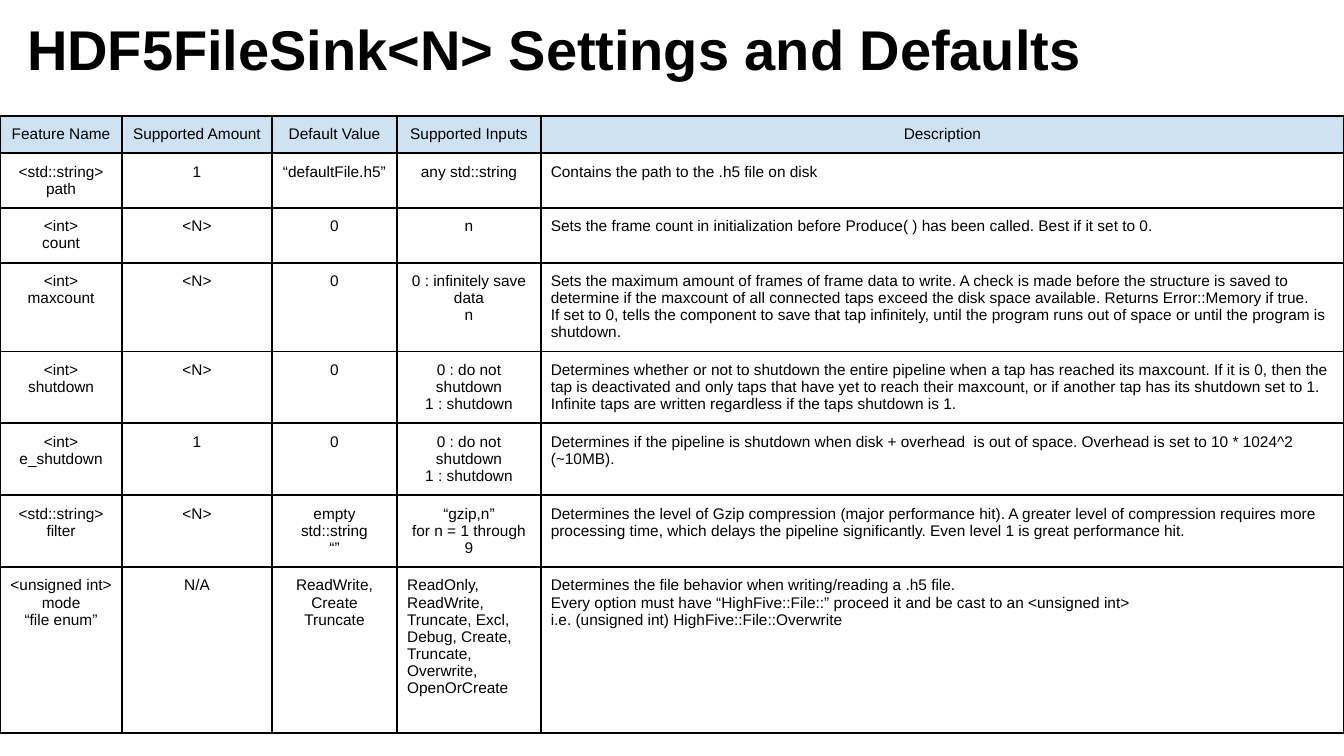
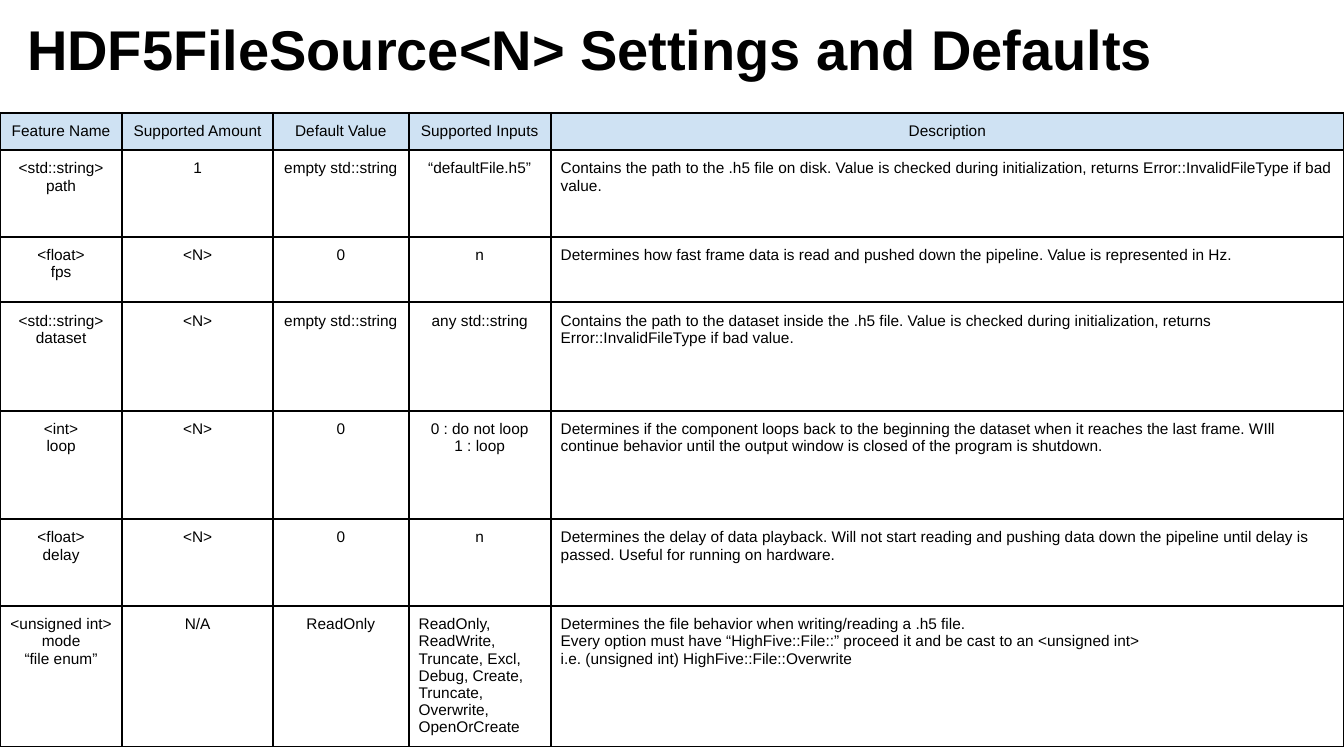
from dataclasses import dataclass

from lxml.etree import SubElement
from pptx import Presentation
from pptx.dml.color import RGBColor
from pptx.enum.text import MSO_ANCHOR as Anchor, MSO_AUTO_SIZE as AutoSize, PP_ALIGN as Align
from pptx.oxml.ns import qn
from pptx.slide import Slide
from pptx.table import _Cell as Cell
from pptx.util import Cm, Pt

BLACK = RGBColor(0x00, 0x00, 0x00)
HEADER_BLUE = RGBColor(0xCF, 0xE2, 0xF3)
FONT = "Arial"
TITLE_SIZE = Pt(40)
CELL_SIZE = Pt(11)
CELL_MARGIN = Cm(0.25)
BORDER_WIDTH = Pt(1.5)
SLIDE_WIDTH = Cm(33.87)
SLIDE_HEIGHT = Cm(19.05)

HEADERS = ("Feature Name", "Supported Amount", "Default Value", "Supported Inputs", "Description")
DESCRIPTION_COLUMN = len(HEADERS) - 1
FILE_MODES = (
    "ReadOnly, ReadWrite, Truncate, Excl, Debug, Create, Truncate, Overwrite, OpenOrCreate"
)
MODE_DESCRIPTION = (
    "Determines the file behavior when writing/reading a .h5 file.\n"
    "Every option must have “HighFive::File::” proceed it and be cast to an <unsigned int>\n"
    "i.e. (unsigned int) HighFive::File::Overwrite"
)


@dataclass(frozen=True)
class Setting:
    name: str
    amount: str
    default: str
    inputs: str
    description: str
    height: float

    def texts(self) -> tuple[str, ...]:
        return self.name, self.amount, self.default, self.inputs, self.description


@dataclass(frozen=True)
class SettingsPage:
    """Lengths are in centimetres; the description column takes the remaining width."""
    title: str
    title_width: float
    table_top: float
    column_widths: tuple[float, ...]
    settings: tuple[Setting, ...]


def file_mode(default: str, height: float) -> Setting:
    return Setting("<unsigned int>\nmode\n“file enum”", "N/A", default,
                   FILE_MODES, MODE_DESCRIPTION, height)


HEADER = Setting(*HEADERS, height=0.94)

SINK = SettingsPage(
    "HDF5FileSink<N> Settings and Defaults", 28.58, 2.92, (3.08, 3.77, 3.16, 3.62),
    (
        Setting("<std::string>\npath", "1", "“defaultFile.h5”", "any std::string",
                "Contains the path to the .h5 file on disk", 1.38),
        Setting("<int>\ncount", "<N>", "0", "n",
                "Sets the frame count in initialization before Produce( ) has been called. "
                "Best if it set to 0.", 1.38),
        Setting("<int>\nmaxcount", "<N>", "0", "0 : infinitely save data\nn",
                "Sets the maximum amount of frames of frame data to write. A check is made "
                "before the structure is saved to determine if the maxcount of all connected "
                "taps exceed the disk space available. Returns Error::Memory if true.\n"
                "If set to 0, tells the component to save that tap infinitely, until the "
                "program runs out of space or until the program is shutdown.", 2.24),
        Setting("<int>\nshutdown", "<N>", "0", "0 : do not shutdown\n1 : shutdown",
                "Determines whether or not to shutdown the entire pipeline when a tap has "
                "reached its maxcount. If it is 0, then the tap is deactivated and only taps "
                "that have yet to reach their maxcount, or if another tap has its shutdown "
                "set to 1. Infinite taps are written regardless if the taps shutdown is 1.",
                1.81),
        Setting("<int>\ne_shutdown", "1", "0", "0 : do not shutdown\n1 : shutdown",
                "Determines if the pipeline is shutdown when disk + overhead  is out of "
                "space. Overhead is set to 10 * 1024^2 (~10MB).", 1.81),
        Setting("<std::string>\nfilter", "<N>", "empty std::string\n“”",
                "“gzip,n”\nfor n = 1 through 9",
                "Determines the level of Gzip compression (major performance hit). A greater "
                "level of compression requires more processing time, which delays the "
                "pipeline significantly. Even level 1 is great performance hit.", 1.81),
        file_mode("ReadWrite, Create Truncate", 4.19),
    ),
)

SOURCE = SettingsPage(
    "HDF5FileSource<N> Settings and Defaults", 29.24, 2.84, (3.08, 3.8, 3.42, 3.58),
    (
        Setting("<std::string>\npath", "1", "empty std::string", "“defaultFile.h5”",
                "Contains the path to the .h5 file on disk. Value is checked during "
                "initialization, returns Error::InvalidFileType if bad value.", 2.19),
        Setting("<float>\nfps", "<N>", "0", "n",
                "Determines how fast frame data is read and pushed down the pipeline. Value "
                "is represented in Hz.", 1.65),
        Setting("<std::string>\ndataset", "<N>", "empty std::string", "any std::string",
                "Contains the path to the dataset inside the .h5 file. Value is checked "
                "during initialization, returns Error::InvalidFileType if bad value.", 2.73),
        Setting("<int>\nloop", "<N>", "0", "0 : do not loop\n1 : loop",
                "Determines if the component loops back to the beginning the dataset when it "
                "reaches the last frame. WIll continue behavior until the output window is "
                "closed of the program is shutdown.", 2.73),
        Setting("<float>\ndelay", "<N>", "0", "n",
                "Determines the delay of data playback. Will not start reading and pushing "
                "data down the pipeline until delay is passed. Useful for running on "
                "hardware.", 2.19),
        file_mode("ReadOnly", 3.54),
    ),
)


def add_title(slide: Slide, text: str, width: float) -> None:
    title = slide.shapes.title
    title.left, title.top, title.width, title.height = Cm(0.43), Cm(0.43), Cm(width), Cm(1.88)
    frame = title.text_frame
    frame.text = text
    frame.word_wrap = True
    frame.auto_size = AutoSize.NONE
    frame.vertical_anchor = Anchor.MIDDLE
    para = frame.paragraphs[0]
    para.alignment = Align.LEFT
    para.line_spacing = 0.8
    para.font.name, para.font.size, para.font.bold = FONT, TITLE_SIZE, True
    para.font.color.rgb = BLACK


def add_borders(cell: Cell) -> None:
    properties = cell._tc.get_or_add_tcPr()
    for side in ("a:lnL", "a:lnR", "a:lnT", "a:lnB"):
        line = SubElement(properties, qn(side), w=str(BORDER_WIDTH))
        fill = SubElement(line, qn("a:solidFill"))
        SubElement(fill, qn("a:srgbClr"), val=str(BLACK))


def fill_cell(cell: Cell, text: str, alignment: Align, is_header: bool) -> None:
    # Borders must precede the fill in the cell properties.
    add_borders(cell)
    if is_header:
        cell.fill.solid()
        cell.fill.fore_color.rgb = HEADER_BLUE
    else:
        cell.fill.background()
    cell.margin_left = cell.margin_right = CELL_MARGIN
    cell.margin_top = cell.margin_bottom = CELL_MARGIN
    cell.vertical_anchor = Anchor.TOP
    cell.text_frame.text = text
    for para in cell.text_frame.paragraphs:
        para.alignment = alignment
        para.font.name, para.font.size = FONT, CELL_SIZE
        para.font.color.rgb = BLACK


def add_settings_table(slide: Slide, page: SettingsPage) -> None:
    rows = (HEADER, *page.settings)
    height = Cm(sum(row.height for row in rows))
    table = slide.shapes.add_table(
        len(rows), len(HEADERS), Cm(0), Cm(page.table_top), SLIDE_WIDTH, height).table
    table.first_row = table.horz_banding = False

    widths = [Cm(width) for width in page.column_widths]
    widths.append(SLIDE_WIDTH - sum(widths))
    for column, width in zip(table.columns, widths):
        column.width = width

    for row_index, row in enumerate(rows):
        table.rows[row_index].height = Cm(row.height)
        is_header = row is HEADER
        for column_index, text in enumerate(row.texts()):
            is_prose = column_index == DESCRIPTION_COLUMN or text == FILE_MODES
            alignment = Align.LEFT if is_prose and not is_header else Align.CENTER
            fill_cell(table.cell(row_index, column_index), text, alignment, is_header)


def main() -> None:
    deck = Presentation()
    deck.slide_width, deck.slide_height = SLIDE_WIDTH, SLIDE_HEIGHT
    title_only = deck.slide_layouts.get_by_name("Title Only")
    for page in (SINK, SOURCE):
        slide = deck.slides.add_slide(title_only)
        add_title(slide, page.title, page.title_width)
        add_settings_table(slide, page)
    deck.save("out.pptx")


if __name__ == "__main__":
    main()
